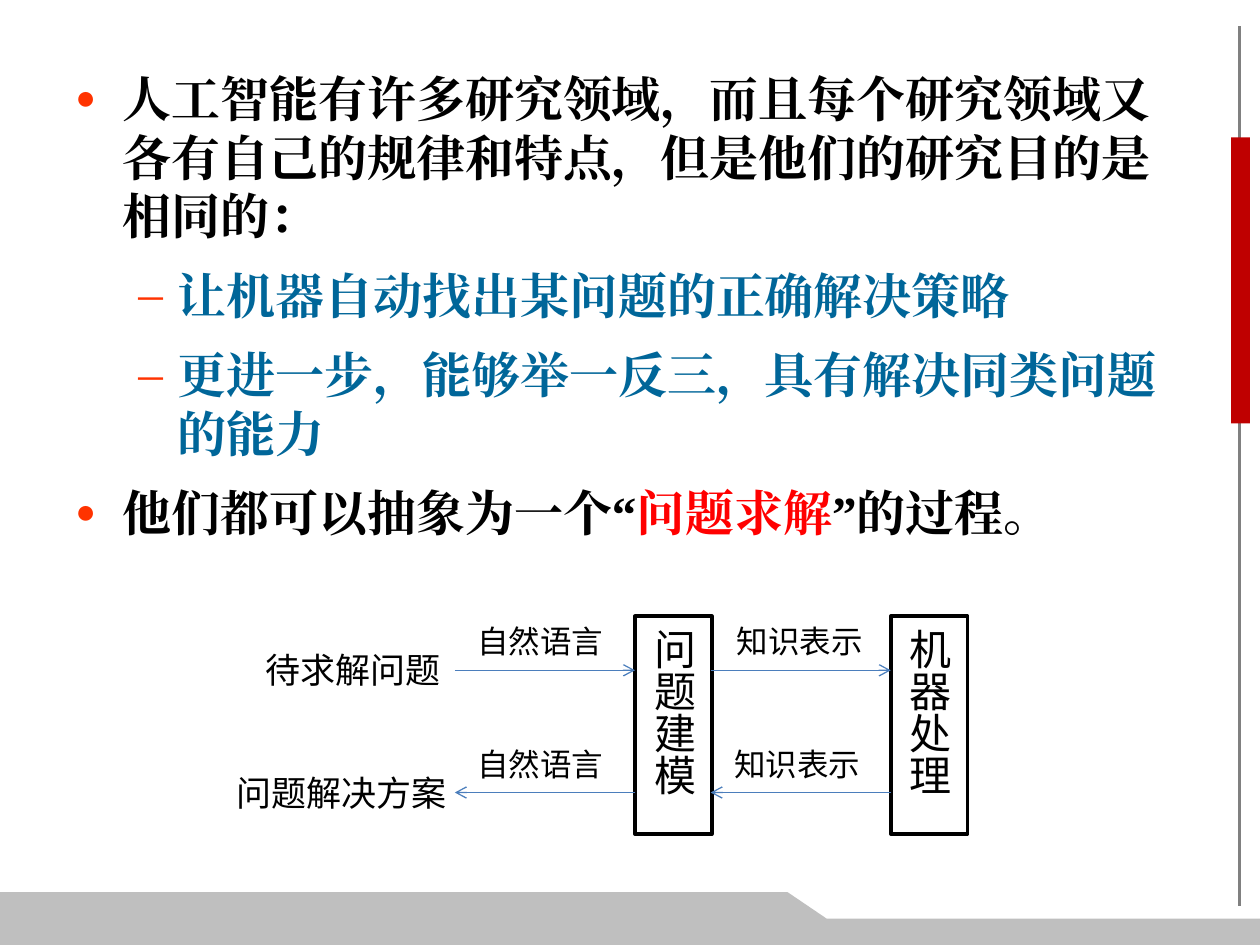
from lxml.etree import SubElement
from pptx import Presentation
from pptx.dml.color import RGBColor
from pptx.enum.shapes import MSO_CONNECTOR as Connector, MSO_SHAPE as Shape
from pptx.enum.text import MSO_AUTO_SIZE as AutoSize, PP_ALIGN as Align
from pptx.oxml.ns import qn
from pptx.util import Pt

COLORS = {
    "black": "000000", "white": "FFFFFF", "red": "FF0000", "blue": "006699",
    "bullet": "FF3300", "arrow": "4B7EBC", "rail": "808080",
    "footer": "BFBFBF", "bar": "BF0000",
}
BODY = [
    (0, [("人工智能有许多研究领域，而且每个研究领域又各有自己的规律和特点，但是他们的研究目的是相同的：", "black")]),
    (1, [("让机器自动找出某问题的正确解决策略", "blue")]),
    (1, [("更进一步，能够举一反三，具有解决同类问题的能力", "blue")]),
    (0, [("他们都可以抽象为一个“", "black"), ("问题求解", "red"), ("”的过程。", "black")]),
]
LEVELS = [
    {"margin": 27, "hanging": 27, "char": "●", "size": 70},
    {"margin": 58.5, "hanging": 22.5, "char": "–", "size": 100},
]
FOOTER = [(0, 509.76), (450, 509.76), (472.32, 524.88), (720, 524.88), (720, 540), (0, 540)]
BOX_TOP, BOX_WIDTH, BOX_HEIGHT = 352.08, 43.92, 124.56
BOXES = [("问题建模", 362.88), ("机器处理", 509.04)]
ARROW_SPANS = [(259.92, 362.88), (406.08, 509.04)]
FLOWS = [
    {"y": 383.04, "reverse": False, "term": ("待求解问题", 144.72, 130.32),
     "labels": [("自然语言", 265.68), ("知识表示", 414)]},
    {"y": 452.88, "reverse": True, "term": ("问题解决方案", 128.16, 163.44),
     "labels": [("自然语言", 265.68), ("知识表示", 412.56)]},
]


def color(name):
    """Return the named colour."""
    return RGBColor.from_string(COLORS[name])


def points(*values):
    """Convert numbers to lengths in points."""
    return [Pt(value) for value in values]


def apply(target, **values):
    """Set several attributes on one object."""
    for name, value in values.items():
        setattr(target, name, value)


def add_run(paragraph, text, size, font_name="Calibri", color_name="black", bold=False):
    """Add a run with the same Latin and East Asian font."""
    run = paragraph.add_run()
    run.text = text
    apply(run.font, size=Pt(size), name=font_name, bold=bold)
    run.font.color.rgb = color(color_name)
    SubElement(run.font._element, qn("a:ea"), typeface=font_name)


def paint(shape, fill, line=None, width=2):
    """Give a shape a flat fill and an optional outline."""
    shape.shadow.inherit = False
    shape.fill.solid()
    shape.fill.fore_color.rgb = color(fill)
    if line:
        shape.line.color.rgb = color(line)
        shape.line.width = Pt(width)
    else:
        shape.line.fill.background()


def add_line(slide, start, end, color_name, width, arrow=False):
    """Add a straight line, with an open arrowhead if asked."""
    line = slide.shapes.add_connector(Connector.STRAIGHT, *points(*start, *end))
    line.line.color.rgb = color(color_name)
    line.line.width = Pt(width)
    if arrow:
        SubElement(line.line._get_or_add_ln(), qn("a:tailEnd"), type="arrow")
    SubElement(line._element.spPr, qn("a:effectLst"))


def add_label(slide, text, left, top, width, height, size):
    """Add a one-line text box."""
    frame = slide.shapes.add_textbox(*points(left, top, width, height)).text_frame
    apply(frame, word_wrap=True, auto_size=AutoSize.SHAPE_TO_FIT_TEXT)
    add_run(frame.paragraphs[0], text, size)


def add_bullet(paragraph, margin, hanging, char, size):
    """Give a paragraph a coloured bullet and a hanging indent."""
    properties = paragraph._p.get_or_add_pPr()
    properties.set("marL", str(Pt(margin)))
    properties.set("indent", str(-Pt(hanging)))
    bullet_color = SubElement(properties, qn("a:buClr"))
    SubElement(bullet_color, qn("a:srgbClr"), val=COLORS["bullet"])
    SubElement(properties, qn("a:buSzPct"), val=str(size * 1000))
    SubElement(properties, qn("a:buFont"), typeface="Times New Roman")
    SubElement(properties, qn("a:buChar"), char=char)


def add_frame(slide):
    """Draw the rail, the footer and the red bar."""
    add_line(slide, (708.48, 15.12), (708.48, 517.68), "rail", 1.5)
    builder = slide.shapes.build_freeform(*points(*FOOTER[0]))
    builder.add_line_segments([points(*point) for point in FOOTER[1:]], close=True)
    paint(builder.convert_to_shape(), "footer")
    bar = slide.shapes.add_shape(Shape.RECTANGLE, *points(703.44, 78.48, 10.8, 163.44))
    paint(bar, "bar")


def add_body(slide):
    """Write the bulleted text."""
    frame = slide.shapes.add_textbox(*points(36, 36, 649.44, 343.44)).text_frame
    frame.word_wrap = True
    for index, (level, runs) in enumerate(BODY):
        paragraph = frame.add_paragraph() if index else frame.paragraphs[0]
        add_bullet(paragraph, **LEVELS[level])
        apply(paragraph, level=level, line_spacing=Pt(33.4),
              space_before=Pt(6 if index else 0), space_after=Pt(6))
        for text, color_name in runs:
            add_run(paragraph, text, 28, "Times New Roman", color_name, True)


def add_diagram(slide):
    """Draw the boxes, the arrows and their labels."""
    for text, left in BOXES:
        box = slide.shapes.add_shape(
            Shape.RECTANGLE, *points(left, BOX_TOP, BOX_WIDTH, BOX_HEIGHT))
        paint(box, "white", "black")
        frame = box.text_frame
        apply(frame, word_wrap=True, auto_size=AutoSize.SHAPE_TO_FIT_TEXT)
        frame._txBody.bodyPr.set("vert", "eaVert")
        frame.paragraphs[0].alignment = Align.CENTER
        add_run(frame.paragraphs[0], text, 24)
    for flow in FLOWS:
        y = flow["y"]
        term, left, width = flow["term"]
        add_label(slide, term, left, y - 15.84, width, 31.68, 20)
        for span in ARROW_SPANS:
            start, end = reversed(span) if flow["reverse"] else span
            add_line(slide, (start, y), (end, y), "arrow", 0.75, arrow=True)
        for text, left in flow["labels"]:
            add_label(slide, text, left, y - 30.96, 87.84, 29.52, 18)


def main():
    """Build the slide and save it."""
    presentation = Presentation()
    apply(presentation, slide_width=Pt(720), slide_height=Pt(540))
    slide = presentation.slides.add_slide(presentation.slide_layouts[6])
    add_frame(slide)
    add_body(slide)
    add_diagram(slide)
    presentation.save("out.pptx")


if __name__ == "__main__":
    main()
